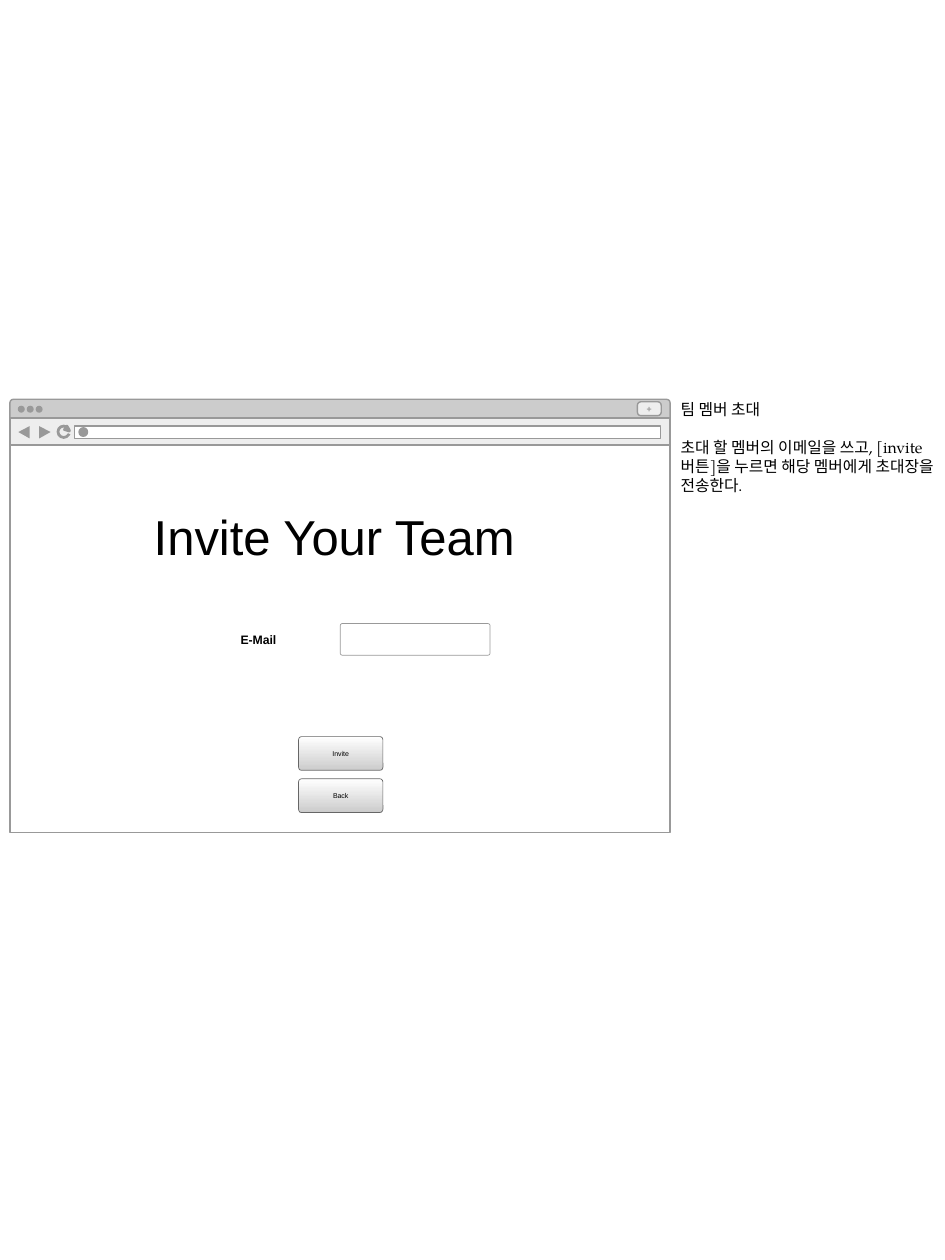
from pptx import Presentation
from pptx.dml.color import RGBColor
from pptx.enum.shapes import MSO_SHAPE as Kind
from pptx.enum.text import MSO_ANCHOR as Anchor, PP_ALIGN as Align
from pptx.util import Cm, Pt


def color(value):
    return RGBColor.from_string(value)


def style(part, fill=None, line=None, width=0.79, text="", size=9, ink="000000",
          bold=False, font="Arial", align=Align.CENTER, anchor=Anchor.MIDDLE):
    if hasattr(part, "shadow"):
        part.shadow.inherit = False
    if fill == "button":
        part.fill.gradient()
        part.fill.gradient_angle = 270
        for stop, tone in zip(part.fill.gradient_stops, ("FFFFFF", "CCCCCC")):
            stop.color.rgb = color(tone)
    elif fill:
        part.fill.solid()
        part.fill.fore_color.rgb = color(fill)
    else:
        part.fill.background()
    if line:
        part.line.color.rgb = color(line)
        part.line.width = Pt(width)
    else:
        part.line.fill.background()
    if text:
        frame = part.text_frame
        frame_format = {"margin_left": 0, "margin_right": 0, "margin_top": 0,
                        "margin_bottom": 0, "word_wrap": True, "vertical_anchor": anchor}
        for key, value in frame_format.items():
            setattr(frame, key, value)
        frame.text = text
        font_format = {"name": font, "size": Pt(size), "bold": bold}
        for paragraph in frame.paragraphs:
            paragraph.alignment = align
            for run in paragraph.runs:
                for key, value in font_format.items():
                    setattr(run.font, key, value)
                run.font.color.rgb = color(ink)


deck = Presentation()
deck.slide_width, deck.slide_height = Cm(19.05), Cm(25.4)
shapes = deck.slides.add_slide(deck.slide_layouts[6]).shapes

GRAY = "999999"
left, width = 0.2, 13.31
title_bar = (Kind.ROUNDED_RECTANGLE, left, 8.05, width, 0.66, 0.11, dict(fill="CCCCCC", line=GRAY))
page = (Kind.RECTANGLE, left, 8.97, width, 7.82, None, dict(fill="FFFFFF", line=GRAY))
new_tab = (Kind.ROUNDED_RECTANGLE, 12.85, 8.1, 0.48, 0.28, 0.25,
           dict(fill="EEEEEE", line=GRAY, text="+", size=5, ink=GRAY, bold=True))
window_dots = [(Kind.OVAL, 0.36 + 0.18 * i, 8.18, 0.14, 0.14, None, dict(fill=GRAY))
               for i in range(3)]
toolbar = (Kind.RECTANGLE, left, 8.43, width, 0.54, None, dict(fill="EEEEEE", line=GRAY))
address = (Kind.RECTANGLE, 1.5, 8.59, 11.82, 0.25, None, dict(fill="FFFFFF", line=GRAY))
site_icon = (Kind.OVAL, 1.58, 8.61, 0.2, 0.2, None, dict(fill=GRAY))
buttons = [(Kind.ROUNDED_RECTANGLE, 6.02, 14.85 + 0.85 * i, 1.7, 0.68, 0.09,
            dict(fill="button", line="666666", width=0.4, text=label, size=4))
           for i, label in enumerate(("Invite", "Back"))]
email_field = (Kind.ROUNDED_RECTANGLE, 6.86, 12.57, 3.02, 0.64, 0.07,
               dict(fill="FFFFFF", line=GRAY, width=0.4))

for kind, x, y, w, h, corner, look in [title_bar, page, new_tab, *window_dots, toolbar,
                                       address, site_icon, *buttons, email_field]:
    part = shapes.add_shape(kind, Cm(x), Cm(y), Cm(w), Cm(h))
    if corner:
        part.adjustments[0] = corner
    style(part, **look)

reload_ring = shapes.add_shape(Kind.ARC, Cm(1.17), Cm(8.59), Cm(0.23), Cm(0.23))
reload_ring.adjustments[0], reload_ring.adjustments[1] = 12, 210
style(reload_ring, line=GRAY, width=1.56)

back_arrow = [(0.37, 8.71), (0.6, 8.59), (0.6, 8.84)]
forward_arrow = [(1.02, 8.71), (0.79, 8.59), (0.79, 8.84)]
reload_tip = [(1.4, 8.69), (1.3, 8.66), (1.35, 8.59)]
for corners, edge in [(back_arrow, None), (forward_arrow, None), (reload_tip, GRAY)]:
    points = [(Cm(x), Cm(y)) for x, y in corners]
    outline = shapes.build_freeform(*points[0])
    outline.add_line_segments(points[1:], close=True)
    style(outline.convert_to_shape(), fill=GRAY, line=edge, width=1.56)

heading = (3.1, 10.21, 8.53, 1.19, dict(text="Invite Your Team", size=28, anchor=Anchor.TOP))
email_label = (4.85, 12.75, 1.45, 0.3, dict(text="E-Mail", size=7, bold=True))
notes = (13.72, 8.05, 5.1, 1.9,
         dict(text="팀 멤버 초대\n초대 할 멤버의 이메일을 쓰고, [invite 버튼]을 누르면 해당 멤버에게 초대장을 전송한다.",
              font="TeX Gyre Pagella", anchor=Anchor.TOP))
for x, y, w, h, look in [heading, email_label, notes]:
    box = shapes.add_textbox(Cm(x), Cm(y), Cm(w), Cm(h))
    style(box, align=Align.LEFT, **look)
    for paragraph in box.text_frame.paragraphs[1:]:
        paragraph.space_before = Pt(11)

deck.save("out.pptx")
